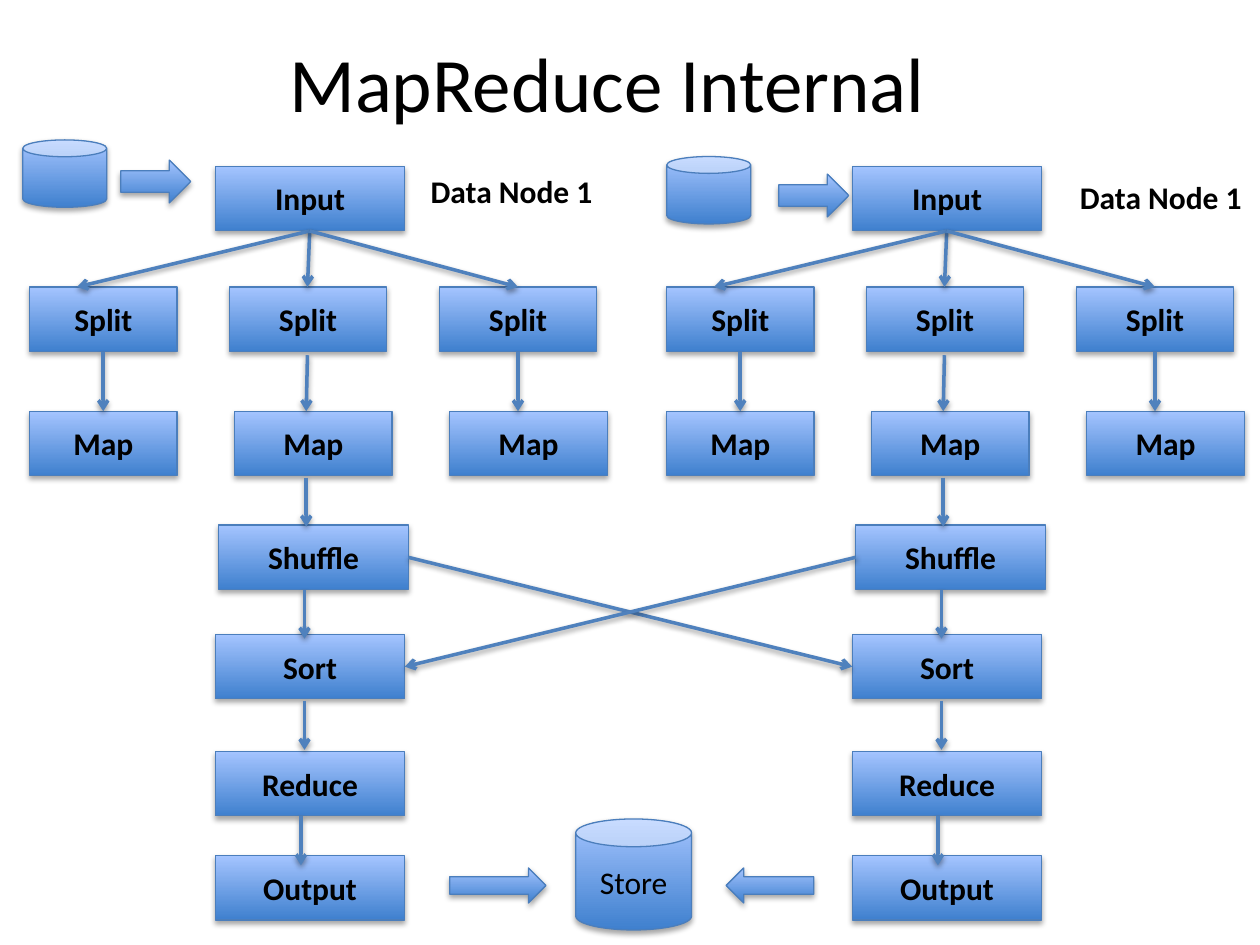
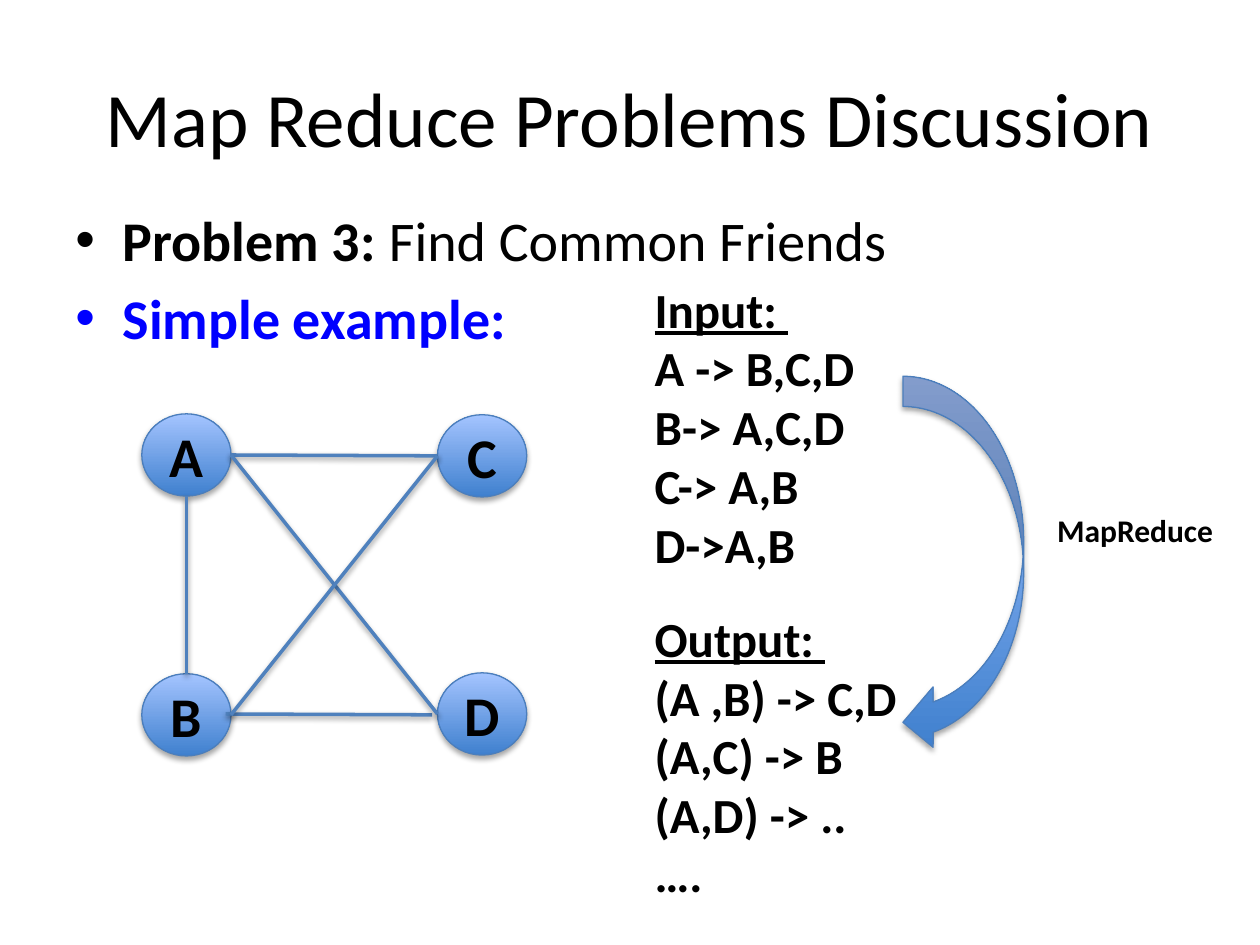
from lxml import etree
from pptx import Presentation
from pptx.dml.color import RGBColor
from pptx.enum.shapes import MSO_CONNECTOR, MSO_SHAPE
from pptx.enum.text import MSO_ANCHOR, PP_ALIGN
from pptx.oxml import parse_xml
from pptx.util import Pt

# Shared style
FONT = "Calibri"
BLACK, BLUE_TEXT = "000000", "0000FF"
GRADIENT = ("3F80CE", "A4C4FF")
BORDER, CONNECTOR = "4B7EBC", "4F81BD"
TITLE_SIZE, BODY_SIZE, LIST_SIZE, LABEL_SIZE = 44, 32, 28, 18
DRAWING = "http://schemas.openxmlformats.org/drawingml/2006/main"
SHADOW = (
    f'<a:effectLst xmlns:a="{DRAWING}"><a:outerShdw blurRad="40000" dist="%d" '
    'dir="5400000" rotWithShape="0"><a:srgbClr val="000000"><a:alpha val="%d"/>'
    "</a:srgbClr></a:outerShdw></a:effectLst>"
)


def add_item(slide, kind, box, text="", size=LABEL_SIZE, bold=True, centred=True):
    """Add a glossy preset shape, or a plain text box when kind is None."""
    lengths = [Pt(value) for value in box]
    if kind is None:
        shape = slide.shapes.add_textbox(*lengths)
    else:
        shape = slide.shapes.add_shape(kind, *lengths)
        shape.fill.gradient()
        shape.fill.gradient_angle = 90
        for stop, color in zip(shape.fill.gradient_stops, GRADIENT):
            stop.color.rgb = RGBColor.from_string(color)
        shape.line.color.rgb = RGBColor.from_string(BORDER)
        shape.line.width = Pt(0.75)
        shape._element.spPr.append(parse_xml(SHADOW % (23000, 35000)))
    text_frame = shape.text_frame
    text_frame.word_wrap = True
    text_frame.vertical_anchor = MSO_ANCHOR.MIDDLE if centred else MSO_ANCHOR.TOP
    text_frame.text = text
    for paragraph in text_frame.paragraphs:
        paragraph.alignment = PP_ALIGN.CENTER if centred else PP_ALIGN.LEFT
        for run in paragraph.runs:
            run.font.name = FONT
            run.font.size = Pt(size)
            run.font.bold = bold
            run.font.color.rgb = RGBColor.from_string(BLACK)
    return shape


def add_line(slide, start, end, arrow=False):
    """Add a straight connector with a soft shadow."""
    points = [Pt(value) for value in (*start, *end)]
    connector = slide.shapes.add_connector(MSO_CONNECTOR.STRAIGHT, *points)
    connector.line.color.rgb = RGBColor.from_string(CONNECTOR)
    connector.line.width = Pt(2)
    properties = connector._element.spPr
    if arrow:
        line = properties.find(f"{{{DRAWING}}}ln")
        etree.SubElement(line, f"{{{DRAWING}}}tailEnd", type="arrow")
    properties.append(parse_xml(SHADOW % (20000, 38000)))


presentation = Presentation()
presentation.slide_width = Pt(720)
presentation.slide_height = Pt(540)
blank_layout = presentation.slide_layouts[6]

# Slide 1: two data nodes side by side
slide = presentation.slides.add_slide(blank_layout)
add_item(slide, None, (23, 1.5, 648, 90), "MapReduce Internal", TITLE_SIZE, bold=False)

NODE_OFFSET = 364
STEP_HEIGHT = 36.7
steps = [  # text, left, top, width
    ("Input", 123, 95, 108.3),
    ("Split", 17, 164, 84.2),
    ("Split", 131, 164, 90),
    ("Split", 251, 164, 90),
    ("Map", 17, 235, 84.2),
    ("Map", 134, 235, 90),
    ("Map", 257, 235, 90),
    ("Shuffle", 125, 300, 108.3),
    ("Sort", 123, 362.5, 108.3),
    ("Reduce", 123, 429.5, 108.3),
    ("Output", 123, 489, 108.3),
]
flows = [  # start, end
    ((177, 132), (175.7, 164)),
    ((177, 132), (44, 164)),
    ((177, 132), (296, 164)),
    ((59, 201), (59, 235)),
    ((175.7, 203), (175, 235)),
    ((296, 201), (296, 235)),
    ((175, 273), (175, 301)),
    ((174, 337), (174, 365)),
    ((174, 400.5), (174, 428.5)),
    ((172, 466.5), (172, 494.5)),
]
for offset in (0, NODE_OFFSET):
    for text, left, top, width in steps:
        add_item(slide, MSO_SHAPE.RECTANGLE, (left + offset, top, width, STEP_HEIGHT), text)
    for (start_x, start_y), (end_x, end_y) in flows:
        add_line(slide, (start_x + offset, start_y), (end_x + offset, end_y), arrow=True)

# Data source and label of each node
for can_at, arrow_at, label_at in [
    ((13, 80), (69, 91.5), (239, 95)),
    ((381, 89.5), (445, 99.5), (610, 98)),
]:
    add_item(slide, MSO_SHAPE.CAN, (*can_at, 48, 38.5))
    add_item(slide, MSO_SHAPE.RIGHT_ARROW, (*arrow_at, 40, 24.5))
    add_item(slide, None, (*label_at, 110, 29), "Data Node 1", centred=False)

# Exchange between the nodes
add_line(slide, (233.3, 318.5), (487, 381), arrow=True)
add_line(slide, (489, 318.5), (231.3, 381), arrow=True)

# Shared storage
add_item(slide, MSO_SHAPE.CAN, (329, 468, 66.2, 63.4), "Store", bold=False)
add_item(slide, MSO_SHAPE.RIGHT_ARROW, (257, 496, 55, 20))
add_item(slide, MSO_SHAPE.LEFT_ARROW, (415, 496, 50, 20))

# Slide 2: common friends
slide = presentation.slides.add_slide(blank_layout)
add_item(slide, None, (36, 21.6, 648, 90), "Map Reduce Problems Discussion", TITLE_SIZE, bold=False)

# Bulleted body
body = add_item(slide, None, (36, 113.8, 648, 343), "Problem 3: \nSimple example:", BODY_SIZE, centred=False)
problem, example = body.text_frame.paragraphs
topic = problem.add_run()
topic.text = "Find Common Friends"
topic.font.name = FONT
topic.font.size = Pt(BODY_SIZE)
topic.font.color.rgb = RGBColor.from_string(BLACK)
example.runs[0].font.color.rgb = RGBColor.from_string(BLUE_TEXT)
for paragraph in (problem, example):
    paragraph.space_before = Pt(6.4)
    bullet_properties = paragraph._p.get_or_add_pPr()
    bullet_properties.set("marL", str(Pt(27)))
    bullet_properties.set("indent", str(-Pt(27)))
    etree.SubElement(bullet_properties, f"{{{DRAWING}}}buFont", typeface="Arial")
    etree.SubElement(bullet_properties, f"{{{DRAWING}}}buChar", char="•")

# Friendship graph
friends = {"A": (81, 236.5), "C": (250, 237), "B": (81, 385), "D": (250, 384.5)}
for name, corner in friends.items():
    add_item(slide, MSO_SHAPE.OVAL, (*corner, 51, 47), name, BODY_SIZE)
for start, end in [
    ((132, 260), (250, 260.5)),
    ((129, 408), (247, 408.5)),
    ((132, 260), (250, 408)),
    ((250, 260.5), (132, 408.5)),
    ((106.5, 283.5), (106.5, 385)),
]:
    add_line(slide, start, end)

# Input and output lists
for top, text in [
    (156, "Input: \nA -> B,C,D\nB-> A,C,D\nC-> A,B\nD->A,B"),
    (344, "Output: \n(A ,B) -> C,D\n(A,C) -> B\n(A,D) -> ..\n…."),
]:
    listing = add_item(slide, None, (367, top, 218, 177), text, LIST_SIZE, centred=False)
    listing.text_frame.paragraphs[0].runs[0].font.underline = True

# Arrow from input to output
add_item(slide, MSO_SHAPE.CURVED_LEFT_ARROW, (516, 215, 69, 215))
add_item(slide, None, (597, 288.5, 113, 29), "MapReduce", centred=False)

presentation.save("out.pptx")
